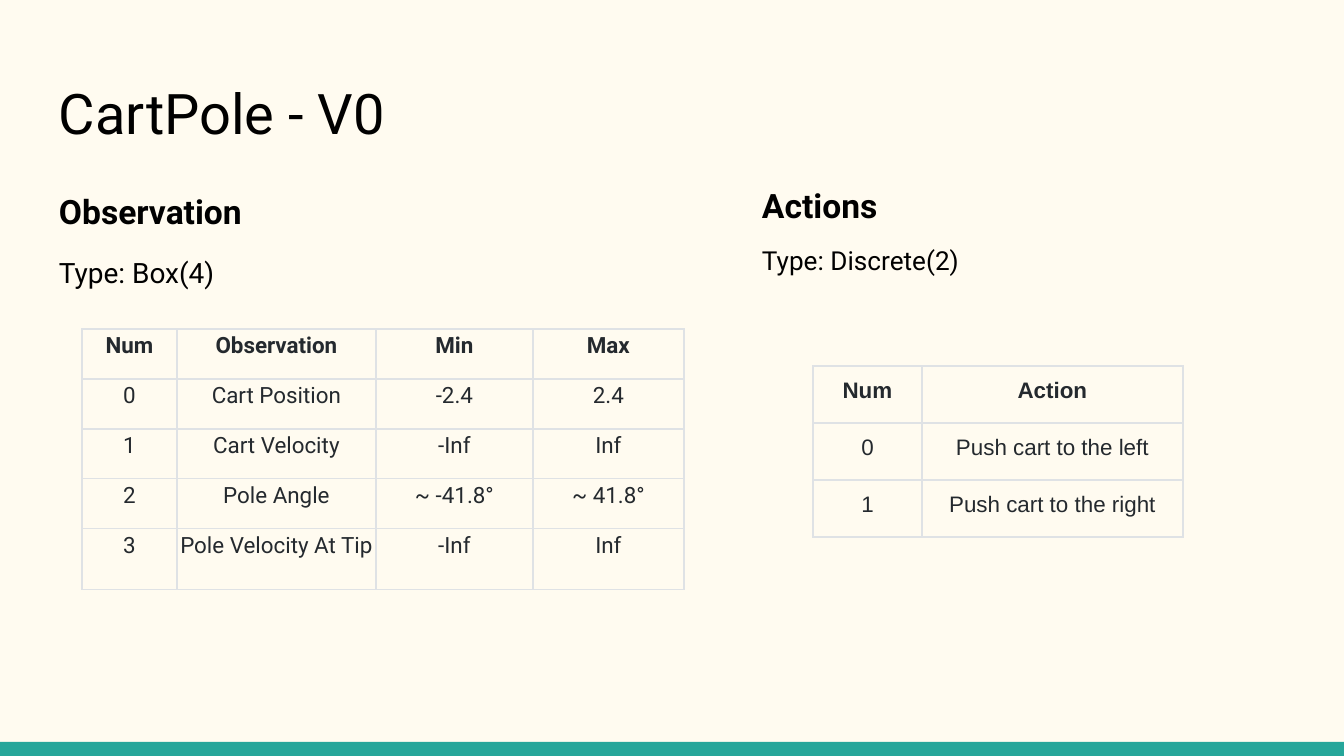
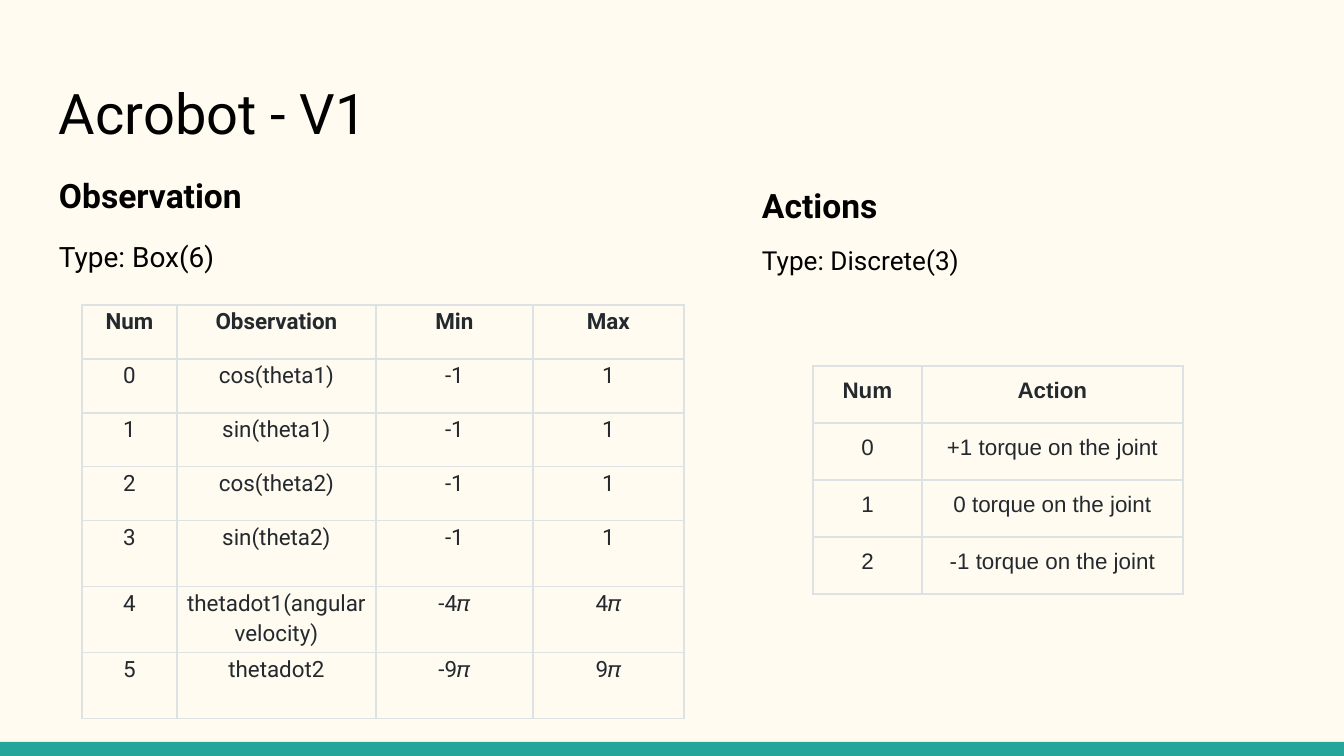
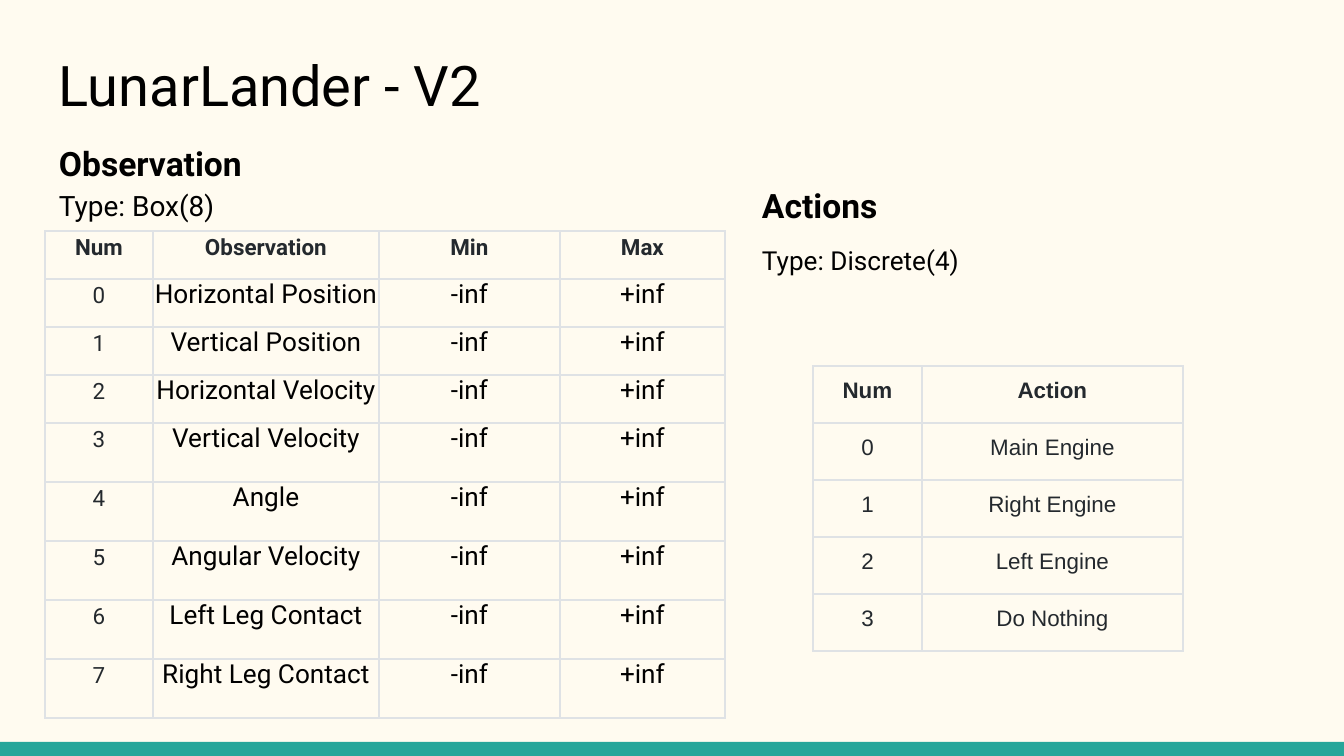
from lxml import etree
from pptx import Presentation
from pptx.dml.color import RGBColor
from pptx.enum.shapes import MSO_SHAPE
from pptx.enum.text import MSO_ANCHOR, PP_ALIGN
from pptx.oxml.ns import qn
from pptx.util import Pt

RECTANGLE = MSO_SHAPE.RECTANGLE
TOP = MSO_ANCHOR.TOP
CENTER = PP_ALIGN.CENTER

EMU_PER_PX = 914400 / 134.4
WIDTH, HEIGHT = 1344, 756
BAND_TOP = 742
MARGIN = 46
CREAM, TEAL, BLACK, INK, RULE = "FFFBF0", "26A69A", "000000", "24292E", "DFE2E5"
SANS, PLAIN = "Roboto", "Arial"
BORDER_WIDTH = Pt(0.75)
SHORT_ROWS = 4

OBSERVATION_HEAD = ("Num", "Observation", "Min", "Max")
ACTION_HEAD = ("Num", "Action")
ACTIONS_BOX = (749, 172, 570, 500)
ACTION_TABLE = {"left": 813, "top": 366, "columns": (109, 261), "row": 57}
NARROW = {"left": 82, "columns": (95, 199, 157, 151), "size": 12, "color": INK, "spacing": 1.15}
WIDE = {"left": 45, "columns": (108, 226, 181, 165), "size": 14, "color": BLACK, "spacing": 1}

ENVIRONMENTS = [
    {
        "title": "CartPole - V0", "title_top": 66,
        "body_top": 172, "body_height": 437, "body_gap": 10,
        "observation_type": "Type: Box(4)", "action_type": "Type: Discrete(2)",
        "grid": NARROW, "grid_top": 329, "short_row": 50, "tall_row": 61,
        "observations": [
            ("Cart Position", "-2.4", "2.4"),
            ("Cart Velocity", "-Inf", "Inf"),
            ("Pole Angle", "~ -41.8°", "~ 41.8°"),
            ("Pole Velocity At Tip", "-Inf", "Inf"),
        ],
        "actions": ["Push cart to the left", "Push cart to the right"],
    },
    {
        "title": "Acrobot - V1", "title_top": 66,
        "body_top": 156, "body_height": 500, "body_gap": 10,
        "observation_type": "Type: Box(6)", "action_type": "Type: Discrete(3)",
        "grid": NARROW, "grid_top": 305, "short_row": 54, "tall_row": 66,
        "observations": [
            ("cos(theta1)", "-1", "1"),
            ("sin(theta1)", "-1", "1"),
            ("cos(theta2)", "-1", "1"),
            ("sin(theta2)", "-1", "1"),
            ("thetadot1(angular velocity)", "-4𝜋", "4𝜋"),
            ("thetadot2", "-9𝜋", "9𝜋"),
        ],
        "actions": ["+1 torque on the joint", "0 torque on the joint", "-1 torque on the joint"],
    },
    {
        "title": "LunarLander - V2", "title_top": 38,
        "body_top": 124, "body_height": 500, "body_gap": 0,
        "observation_type": "Type: Box(8)", "action_type": "Type: Discrete(4)",
        "grid": WIDE, "grid_top": 231, "short_row": 48, "tall_row": 59,
        "observations": [
            (name, "-inf", "+inf")
            for name in (
                "Horizontal Position", "Vertical Position", "Horizontal Velocity",
                "Vertical Velocity", "Angle", "Angular Velocity",
                "Left Leg Contact", "Right Leg Contact",
            )
        ],
        "actions": ["Main Engine", "Right Engine", "Left Engine", "Do Nothing"],
    },
]


def px(length):
    return round(length * EMU_PER_PX)


def paint(color_format, color):
    color_format.rgb = RGBColor.from_string(color)


def style(paragraph, size, bold=False, font=SANS, color=BLACK, spacing=1):
    paragraph.line_spacing = spacing
    for span in paragraph.runs:
        span.font.name = font
        span.font.size = Pt(size)
        span.font.bold = bold
        paint(span.font.color, color)


def add_text(page, bounds, lines, spacing=1, gap=0):
    box = page.shapes.add_textbox(*map(px, bounds))
    frame = box.text_frame
    frame.word_wrap = True
    frame.vertical_anchor = TOP
    frame.margin_left = frame.margin_right = px(13)
    frame.margin_top = frame.margin_bottom = px(13)
    frame.text = "\n".join(text for text, _, _ in lines)
    for index, (paragraph, (_, size, bold)) in enumerate(zip(frame.paragraphs, lines)):
        style(paragraph, size, bold, spacing=spacing)
        if index:
            paragraph.space_before = Pt(gap)


def add_borders(cell):
    properties = cell._tc.get_or_add_tcPr()
    for side in ("a:lnL", "a:lnR", "a:lnT", "a:lnB"):
        line = etree.SubElement(properties, qn(side), w=str(BORDER_WIDTH))
        fill = etree.SubElement(line, qn("a:solidFill"))
        etree.SubElement(fill, qn("a:srgbClr"), val=RULE)


def add_grid(page, left, top, columns, heights, rows, inset, cell_style):
    bounds = (left, top, sum(columns), sum(heights))
    table = page.shapes.add_table(len(rows), len(columns), *map(px, bounds)).table
    table.first_row = table.horz_banding = False
    for column, width in zip(table.columns, columns):
        column.width = px(width)
    for row, height in zip(table.rows, heights):
        row.height = px(height)
    for row_index, values in enumerate(rows):
        for column_index, value in enumerate(values):
            cell = table.cell(row_index, column_index)
            cell.margin_left = cell.margin_right = px(inset[0])
            cell.margin_top = cell.margin_bottom = px(inset[1])
            cell.vertical_anchor = TOP
            add_borders(cell)
            cell.fill.background()
            cell.text_frame.text = value
            paragraph = cell.text_frame.paragraphs[0]
            paragraph.alignment = CENTER
            style(paragraph, bold=row_index == 0, **cell_style(row_index, column_index))


def add_page(deck):
    page = deck.slides.add_slide(deck.slide_layouts[6])
    page.background.fill.solid()
    paint(page.background.fill.fore_color, CREAM)
    band = page.shapes.add_shape(RECTANGLE, 0, px(BAND_TOP), px(WIDTH), px(HEIGHT - BAND_TOP))
    band.shadow.inherit = False
    band.fill.solid()
    paint(band.fill.fore_color, TEAL)
    band.line.fill.background()
    return page


def add_observations(page, environment):
    grid = environment["grid"]
    rows = [OBSERVATION_HEAD]
    rows += [(str(number), *values) for number, values in enumerate(environment["observations"])]
    heights = [environment["short_row"]] * SHORT_ROWS
    heights += [environment["tall_row"]] * (len(rows) - SHORT_ROWS)

    def cell_style(row, column):
        if row and column:
            return {"size": grid["size"], "color": grid["color"], "spacing": grid["spacing"]}
        return {"size": 12, "color": INK, "spacing": 1.15}

    bounds = (MARGIN, environment["body_top"], 650, environment["body_height"])
    lines = [("Observation", 18, True), (environment["observation_type"], 15, False)]
    add_text(page, bounds, lines, 1.15, environment["body_gap"])
    add_grid(page, grid["left"], environment["grid_top"], grid["columns"], heights, rows,
             (0, 0), cell_style)


def add_actions(page, environment):
    rows = [ACTION_HEAD]
    rows += [(str(number), action) for number, action in enumerate(environment["actions"])]
    heights = [ACTION_TABLE["row"]] * len(rows)

    def cell_style(row, column):
        return {"size": 12, "font": PLAIN, "color": INK, "spacing": 1.15}

    lines = [("Actions", 18, True), (environment["action_type"], 14, False)]
    add_text(page, ACTIONS_BOX, lines, gap=10)
    add_grid(page, ACTION_TABLE["left"], ACTION_TABLE["top"], ACTION_TABLE["columns"], heights,
             rows, (19, 8), cell_style)


def main():
    deck = Presentation()
    deck.slide_width, deck.slide_height = px(WIDTH), px(HEIGHT)
    for environment in ENVIRONMENTS:
        page = add_page(deck)
        title_bounds = (MARGIN, environment["title_top"], WIDTH - 2 * MARGIN, 90)
        add_text(page, title_bounds, [(environment["title"], 30, False)])
        add_observations(page, environment)
        add_actions(page, environment)
    deck.save("out.pptx")


if __name__ == "__main__":
    main()
